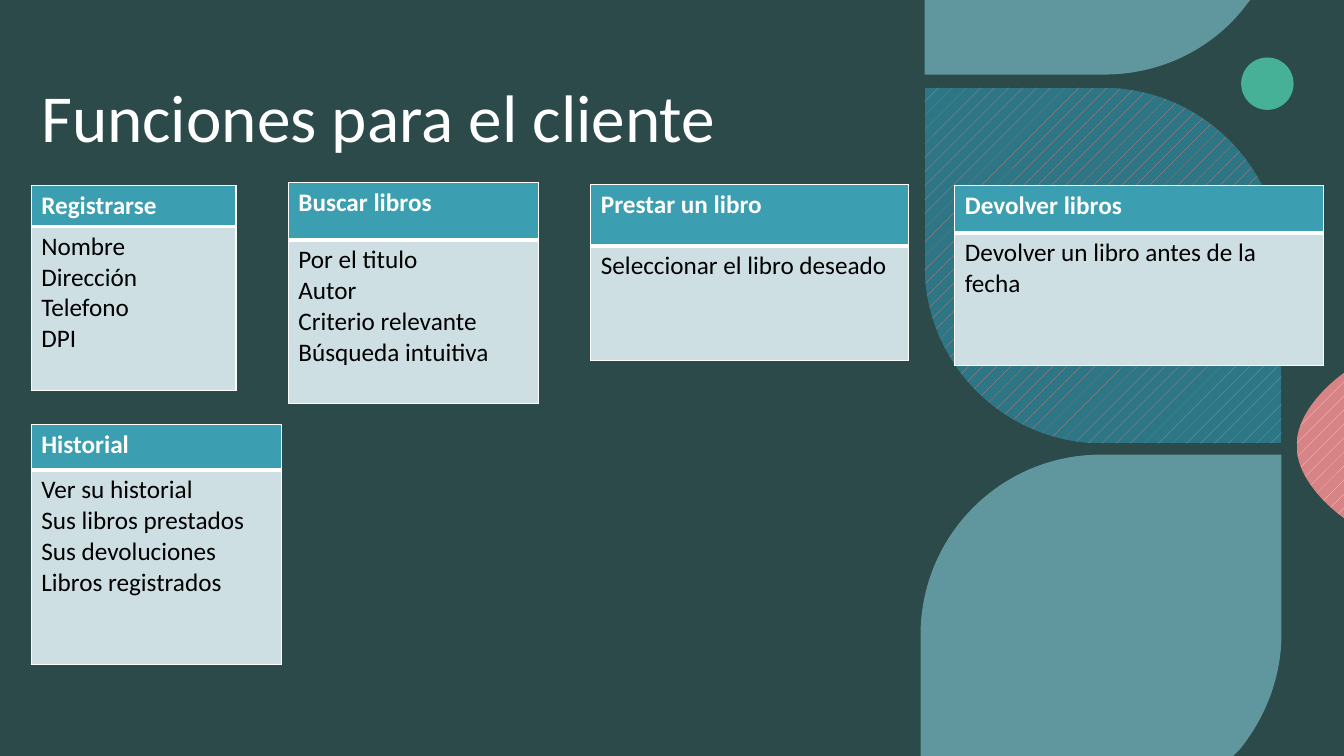
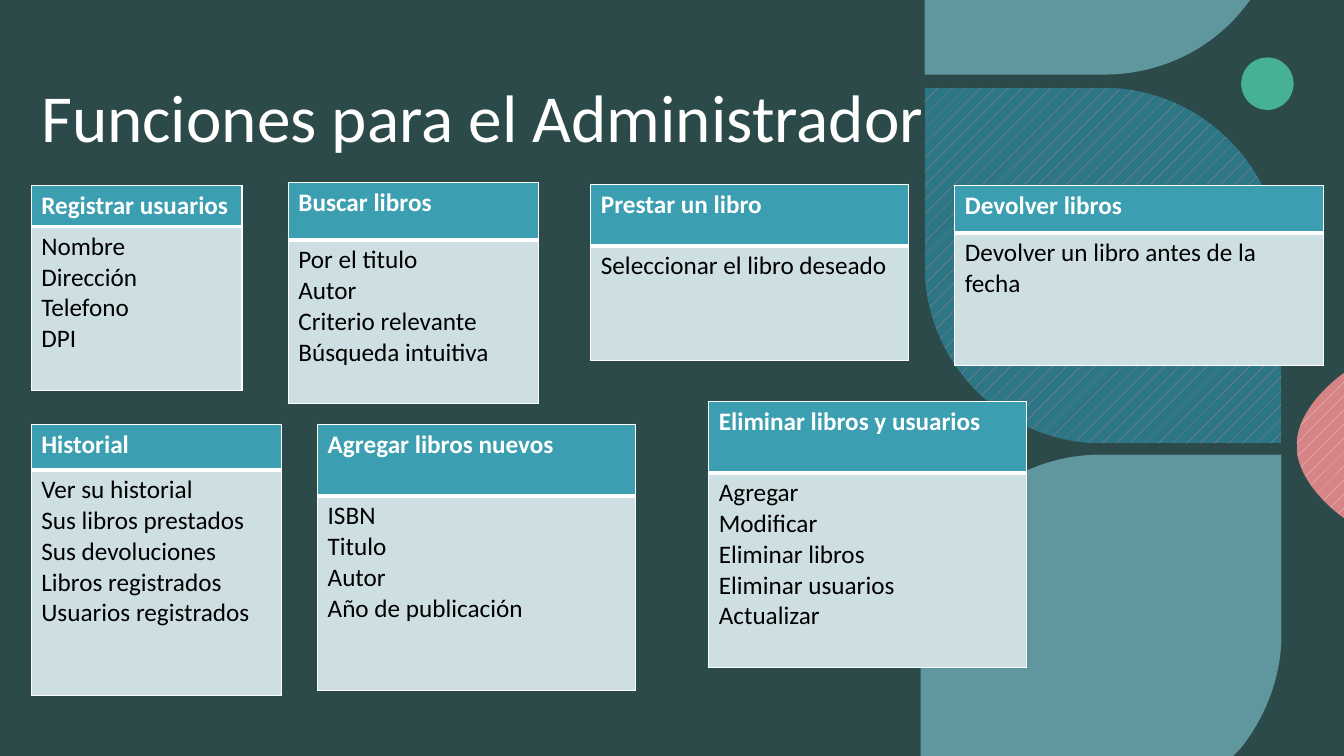
import pptx
import pptx.dml.color
import pptx.enum.dml
import pptx.enum.shapes
import pptx.enum.text
import pptx.oxml
import pptx.oxml.ns
import pptx.util

PX = 9144  # 100 px to the inch
WIDTH, HEIGHT = 1333, 750

BACKGROUND, OVERLAY = "1B2F2E", "437472"
GREEN, LIGHT_TEAL, DARK_TEAL = "46B196", "84C9D6", "2C7685"
PINK, PALE_PINK = "D68486", "F1D6D7"
HEADER_FILL, BODY_FILL = "3B9EB1", "CEDFE4"
WHITE, BLACK = "FFFFFF", "000000"


def color(hex_value):
    return pptx.dml.color.RGBColor.from_string(hex_value)


def paint(shape, fill_color, opacity=100, hatch_color=None):
    shape.shadow.inherit = False
    shape.line.fill.background()
    if hatch_color:
        shape.fill.patterned()
        shape.fill.pattern = pptx.enum.dml.MSO_PATTERN.PERCENT_5
        shape.fill.fore_color.rgb = color(hatch_color)
        shape.fill.back_color.rgb = color(fill_color)
    else:
        shape.fill.solid()
        shape.fill.fore_color.rgb = color(fill_color)
    if opacity < 100:
        solid_color = shape._element.spPr.find(".//" + pptx.oxml.ns.qn("a:srgbClr"))
        alpha = solid_color.makeelement(pptx.oxml.ns.qn("a:alpha"), {"val": str(opacity * 1000)})
        solid_color.append(alpha)


# Text formats
TITLE_FORMAT = {"name": "Calibri", "size": pptx.util.Pt(48), "bold": False}
HEADER_FORMAT = {"name": "Calibri", "size": pptx.util.Pt(18), "bold": True}
BODY_FORMAT = {**HEADER_FORMAT, "bold": False}
TITLE_FRAME = {
    "word_wrap": True,
    "auto_size": pptx.enum.text.MSO_AUTO_SIZE.NONE,
    "vertical_anchor": pptx.enum.text.MSO_ANCHOR.BOTTOM,
}

# Cell styles: fill, text colour, format, border widths in points
HEADER_STYLE = (HEADER_FILL, WHITE, HEADER_FORMAT, {"L": 1, "R": 1, "T": 1, "B": 3})
BODY_STYLE = (BODY_FILL, BLACK, BODY_FORMAT, {"L": 1, "R": 1, "B": 1})

# Leaf outlines: a pair is a line, six numbers are a cubic curve
LEAVES = [
    ([(917, 0), (1240, 0), (1233, 9), (1201, 49, 1151, 74, 1095, 74), (917, 74)],
     {"fill_color": LIGHT_TEAL, "opacity": 60}),
    ([(1092, 451), (1271, 451), (1271, 629), (1271, 672, 1255, 712, 1230, 743),
      (1223, 750), (913, 750), (913, 630), (913, 531, 993, 451, 1092, 451)],
     {"fill_color": LIGHT_TEAL, "opacity": 60}),
    ([(1333, 370), (1333, 514), (1333, 514, 1286, 482, 1286, 442),
      (1286, 402, 1333, 370, 1333, 370)],
     {"fill_color": PINK, "hatch_color": PALE_PINK}),
    ([(1271, 440), (1094, 440), (996, 440, 917, 361, 917, 263), (917, 87),
      (1094, 87), (1191, 87, 1271, 166, 1271, 264)],
     {"fill_color": DARK_TEAL, "hatch_color": PINK}),
]

# Cards: left, top, width, header height, body height, heading, lines
USER_FIELDS = ["Nombre", "Dirección", "Telefono", "DPI"]
HISTORY = ["Ver su historial", "Sus libros prestados", "Sus devoluciones", "Libros registrados"]
LOAN_CARDS = [
    (586, 183, 315, 61, 114, "Prestar un libro", ["Seleccionar el libro deseado"]),
    (947, 184, 366, 47, 132, "Devolver libros", ["Devolver un libro antes de la fecha"]),
    (286, 181, 248, 57, 162, "Buscar libros",
     ["Por el titulo", "Autor", "Criterio relevante", "Búsqueda intuitiva"]),
]
SLIDES = [
    ("Funciones para el cliente", [
        (31, 184, 203, 40, 163, "Registrarse", USER_FIELDS),
        *LOAN_CARDS,
        (31, 421, 248, 45, 193, "Historial", HISTORY),
    ]),
    ("Funciones para el Administrador", [
        (31, 184, 209, 40, 163, "Registrar usuarios", USER_FIELDS),
        *LOAN_CARDS,
        (31, 421, 248, 45, 224, "Historial", HISTORY + ["Usuarios registrados"]),
        (315, 421, 315, 71, 193, "Agregar libros nuevos",
         ["ISBN", "Titulo", "Autor", "Año de publicación"]),
        (703, 398, 315, 71, 193, "Eliminar libros y usuarios",
         ["Agregar", "Modificar", "Eliminar libros", "Eliminar usuarios", "Actualizar"]),
    ]),
]

presentation = pptx.Presentation()
presentation.slide_width, presentation.slide_height = WIDTH * PX, HEIGHT * PX
master_fill = presentation.slide_master.background.fill
master_fill.solid()
master_fill.fore_color.rgb = color(BACKGROUND)

for title, cards in SLIDES:
    slide = presentation.slides.add_slide(presentation.slide_layouts[6])
    shapes = slide.shapes

    # Tinted backdrop and dot
    kinds = pptx.enum.shapes.MSO_SHAPE
    paint(shapes.add_shape(kinds.RECTANGLE, 0, 0, WIDTH * PX, HEIGHT * PX), OVERLAY, opacity=40)
    paint(shapes.add_shape(kinds.OVAL, 1231 * PX, 57 * PX, 52 * PX, 52 * PX), GREEN)

    # Leaves: straight outline through the corners, then bend the curved sides
    for outline, look in LEAVES:
        corners = [segment[-2:] for segment in outline]
        left, top = (min(values) for values in zip(*corners))
        builder = shapes.build_freeform(*corners[0], scale=PX)
        builder.add_line_segments(corners[1:], close=True)
        leaf = builder.convert_to_shape()
        sides = leaf._element.findall(".//" + pptx.oxml.ns.qn("a:lnTo"))
        for side, segment in zip(sides, outline[1:]):
            if len(segment) == 6:
                controls = "".join(f'<a:pt x="{x - left}" y="{y - top}"/>'
                                   for x, y in zip(segment[::2], segment[1::2]))
                side.getparent().replace(side, pptx.oxml.parse_xml(
                    f'<a:cubicBezTo {pptx.oxml.ns.nsdecls("a")}>{controls}</a:cubicBezTo>'))
        paint(leaf, **look)

    # Title
    frame = shapes.add_textbox(31 * PX, 12 * PX, 1065 * PX, 149 * PX).text_frame
    for name, value in TITLE_FRAME.items():
        setattr(frame, name, value)
    paragraph = frame.paragraphs[0]
    paragraph.text = title
    paragraph.line_spacing = 0.9
    paragraph.font.color.rgb = color(WHITE)
    for name, value in TITLE_FORMAT.items():
        setattr(paragraph.font, name, value)

    # Function cards
    for left, top, width, header_height, body_height, heading, lines in cards:
        table = shapes.add_table(2, 1, left * PX, top * PX, width * PX,
                                 (header_height + body_height) * PX).table
        table.horz_banding = False
        rows = [(header_height, [heading], HEADER_STYLE), (body_height, lines, BODY_STYLE)]
        for index, (height, texts, style) in enumerate(rows):
            fill_color, text_color, text_format, borders = style
            table.rows[index].height = height * PX
            cell = table.cell(index, 0)
            cell.text = "\n".join(texts)
            for paragraph in cell.text_frame.paragraphs:
                paragraph.font.color.rgb = color(text_color)
                for name, value in text_format.items():
                    setattr(paragraph.font, name, value)
            properties = cell._tc.get_or_add_tcPr()
            for side, points_wide in borders.items():
                properties.append(pptx.oxml.parse_xml(
                    f'<a:ln{side} {pptx.oxml.ns.nsdecls("a")} w="{pptx.util.Pt(points_wide)}">'
                    f'<a:solidFill><a:srgbClr val="{WHITE}"/></a:solidFill></a:ln{side}>'))
            cell.fill.solid()
            cell.fill.fore_color.rgb = color(fill_color)

presentation.save("out.pptx")
